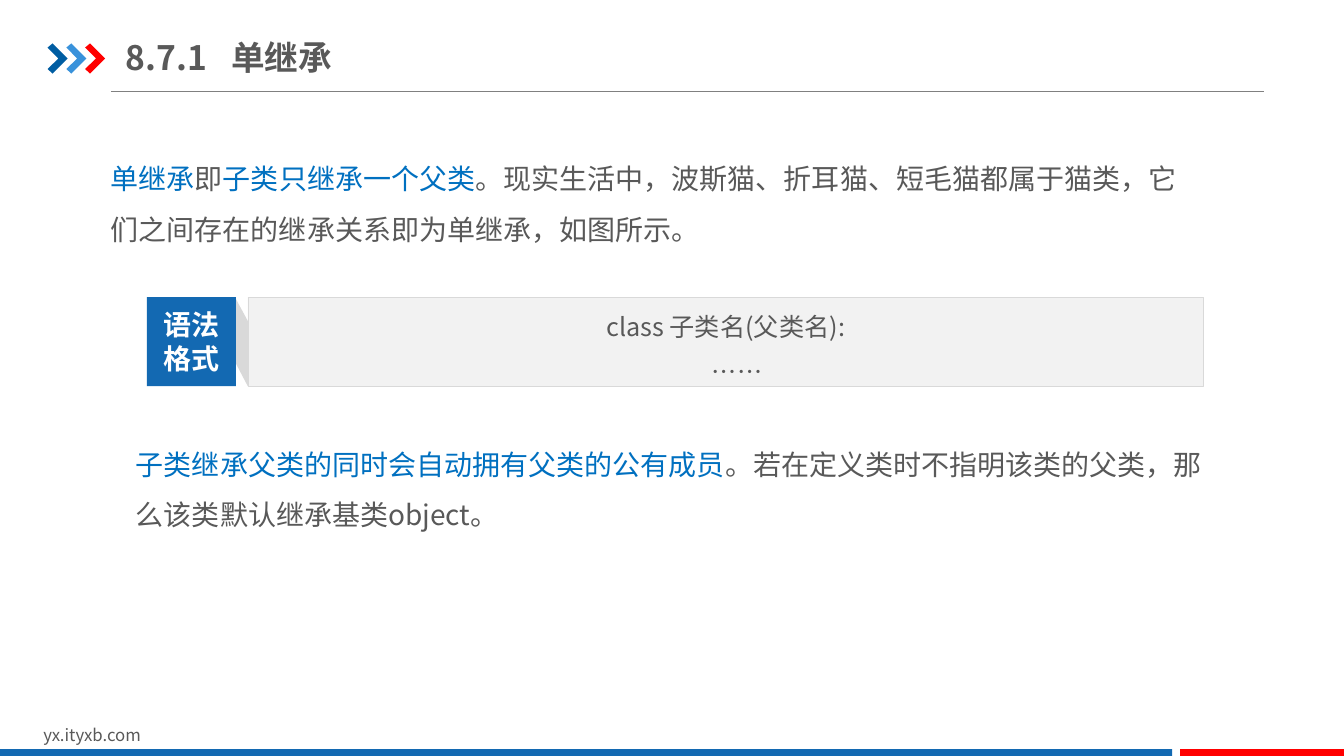
import dataclasses

import pptx
import pptx.dml.color
import pptx.enum.shapes
import pptx.enum.text
import pptx.oxml.ns
import pptx.util
from lxml import etree

Pt = pptx.util.Pt
Anchor = pptx.enum.text.MSO_ANCHOR
Align = pptx.enum.text.PP_ALIGN


@dataclasses.dataclass(frozen=True)
class Theme:
    font: str = "Noto Sans CJK SC"
    ink: str = "595959"
    accent: str = "0070C0"
    blue: str = "1369B2"
    red: str = "FF0000"
    white: str = "FFFFFF"
    panel: str = "F2F2F2"
    edge: str = "D9D9D9"
    rule: str = "808080"
    chevrons: tuple = ("005DA2", "3992DB", "FF0000")
    heading: int = 24
    body: int = 20
    code: int = 18
    footer: int = 12


THEME = Theme()


def rgb(value):
    return pptx.dml.color.RGBColor.from_string(value)


def add_child(parent, tag, **attributes):
    return etree.SubElement(parent, pptx.oxml.ns.qn(tag), attributes)


def style_paragraph(para, size, color=None, bold=False):
    """Set the Latin and East Asian font of a whole paragraph."""
    font = para.font
    font.size, font.bold, font.name = Pt(size), bold, THEME.font
    if color:
        font.color.rgb = rgb(color)
    properties = para._p.pPr.find(pptx.oxml.ns.qn("a:defRPr"))
    add_child(properties, "a:ea", typeface=THEME.font)


def write_lines(frame, lines, size, color, bold=False, align=Align.LEFT, spacing=None):
    for index, line in enumerate(lines):
        para = frame.add_paragraph() if index else frame.paragraphs[0]
        para.add_run().text = line
        para.alignment = align
        para.line_spacing = spacing
        style_paragraph(para, size, color, bold)


def paint(shape, fill, line=None):
    shape.shadow.inherit = False
    shape.fill.solid()
    shape.fill.fore_color.rgb = rgb(fill)
    if line:
        shape.line.color.rgb = rgb(line)
        shape.line.width = Pt(0.25)
    else:
        shape.line.fill.background()


def add_rectangle(page, left, top, width, height, fill, line=None):
    shape = page.shapes.add_shape(
        pptx.enum.shapes.MSO_SHAPE.RECTANGLE,
        Pt(left), Pt(top), Pt(width), Pt(height))
    paint(shape, fill, line)
    return shape


def add_polygon(page, points, fill):
    corners = [(Pt(x), Pt(y)) for x, y in points]
    builder = page.shapes.build_freeform(*corners[0], scale=1.0)
    builder.add_line_segments(corners[1:], close=True)
    paint(builder.convert_to_shape(), fill)


def add_text_frame(page, left, top, width, height):
    box = page.shapes.add_textbox(Pt(left), Pt(top), Pt(width), Pt(height))
    box.text_frame.word_wrap = True
    return box.text_frame


def add_rule(page, left, right, y):
    rule = page.shapes.add_connector(
        pptx.enum.shapes.MSO_CONNECTOR.STRAIGHT, Pt(left), Pt(y), Pt(right), Pt(y))
    rule.line.color.rgb = rgb(THEME.rule)
    rule.line.width = Pt(0.75)
    add_child(rule._element.spPr, "a:effectLst")


def add_chevrons(page):
    outline = [(0, 3), (3.6, 0), (14.4, 10.8), (3.6, 21.6), (0, 18.3), (7.8, 10.8)]
    for index, color in enumerate(THEME.chevrons):
        left = 34 + 13.4 * index
        add_polygon(page, [(left + x, 31 + y) for x, y in outline], color)


def add_heading(page, number, title):
    frame = add_text_frame(page, 90, 20.9, 361.4, 39.6)
    frame.vertical_anchor = Anchor.MIDDLE
    frame.margin_left = frame.margin_right = 0
    frame.margin_top = frame.margin_bottom = Pt(5)
    properties = frame.paragraphs[0]._p.get_or_add_pPr()
    stops = add_child(properties, "a:tabLst")
    add_child(stops, "a:tab", pos=str(Pt(75)), algn="l")
    write_lines(frame, [f"{number}\t{title}"], THEME.heading, THEME.ink, bold=True)


def add_statement(page, left, top, spans):
    """Add a body paragraph from (text, color) spans."""
    frame = add_text_frame(page, left, top, 793.4, 79.2)
    para = frame.paragraphs[0]
    para.line_spacing = 1.5
    style_paragraph(para, THEME.body)
    for text, color in spans:
        span = para.add_run()
        span.text = text
        span.font.color.rgb = rgb(color)


def add_syntax_panel(page, label, code):
    top, side = 212.2, 63.6
    tile_left, panel_left = 105, 177
    tile_right, bottom = tile_left + side, top + side
    panel = add_rectangle(page, panel_left, top, 682.8, side, THEME.panel, THEME.edge)
    tile = add_rectangle(page, tile_left, top, side, side, THEME.blue)
    for shape in (panel, tile):
        shape.text_frame.vertical_anchor = Anchor.MIDDLE
    write_lines(panel.text_frame, code, THEME.code, THEME.ink,
                align=Align.CENTER, spacing=1.5)
    write_lines(tile.text_frame, label, THEME.body, THEME.white,
                bold=True, align=Align.CENTER)
    add_polygon(page, [(panel_left, top + 17), (panel_left, bottom),
                       (tile_right, bottom - 16), (tile_right, top + 1.5)], THEME.edge)


def add_footer(page, address):
    frame = add_text_frame(page, 23.8, 514, 229, 21.6)
    write_lines(frame, [address], THEME.footer, THEME.ink)
    add_rectangle(page, 0, 535, 837.2, 6.2, THEME.blue)
    add_rectangle(page, 843, 535, 117, 6.2, THEME.red)


def main():
    deck = pptx.Presentation()
    deck.slide_width, deck.slide_height = Pt(960), Pt(540)
    page = deck.slides.add_slide(deck.slide_layouts[6])

    add_rule(page, 79.2, 903, 65.4)
    add_chevrons(page)
    add_footer(page, "yx.ityxb.com")
    add_heading(page, "8.7.1", "单继承")
    add_statement(page, 72, 100, [
        ("单继承", THEME.accent),
        ("即", THEME.ink),
        ("子类只继承一个父类", THEME.accent),
        ("。现实生活中，波斯猫、折耳猫、短毛猫都属于猫类，"
         "它们之间存在的继承关系即为单继承，如图所示。", THEME.ink),
    ])
    add_syntax_panel(page, ["语法", "格式"], ["class 子类名(父类名):", "    ……"])
    add_statement(page, 90, 304, [
        ("子类继承父类的同时会自动拥有父类的公有成员", THEME.accent),
        ("。若在定义类时不指明该类的父类，那么该类默认继承基类object。", THEME.ink),
    ])
    deck.save("out.pptx")


if __name__ == "__main__":
    main()
